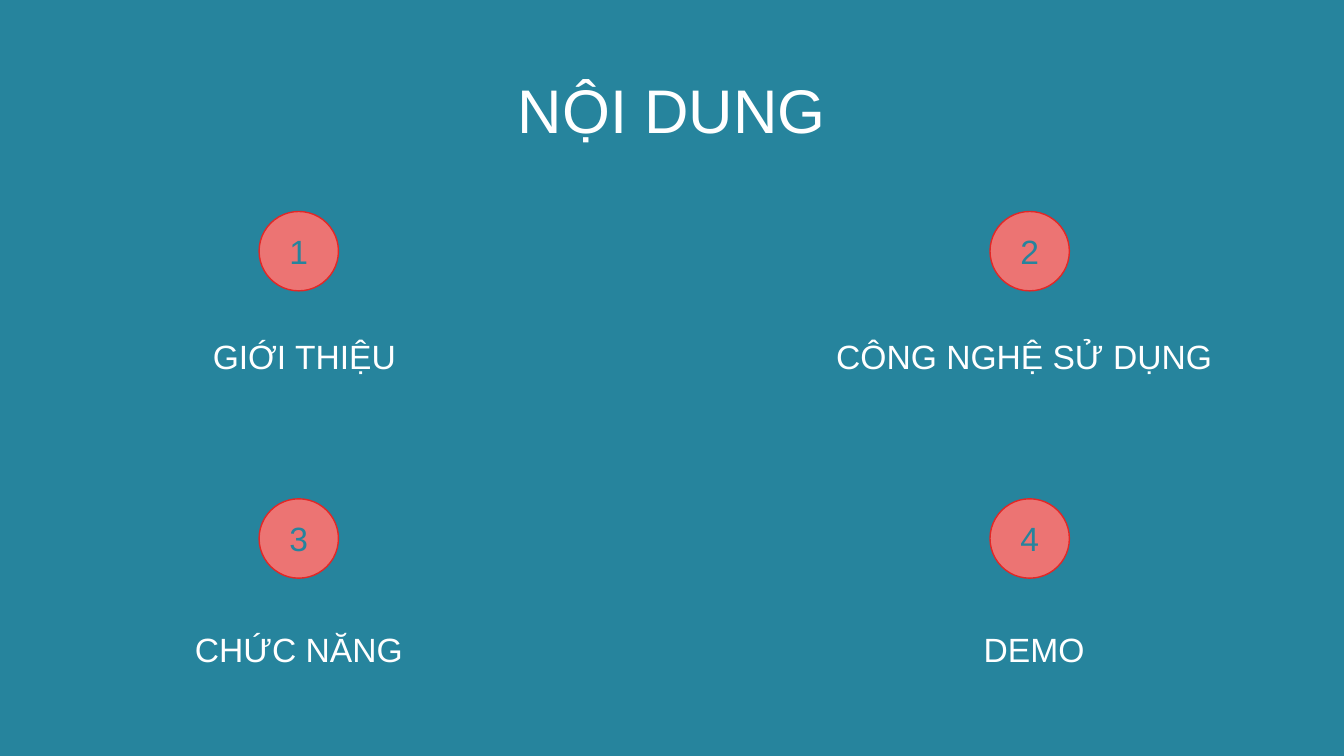
from dataclasses import dataclass

from pptx import Presentation
from pptx.dml.color import RGBColor
from pptx.enum.shapes import MSO_SHAPE as Shape
from pptx.enum.text import MSO_ANCHOR as Anchor, MSO_AUTO_SIZE as AutoSize, PP_ALIGN as Align
from pptx.util import Cm, Pt


@dataclass(frozen=True)
class Theme:
    background: RGBColor = RGBColor.from_string("26849D")
    text: RGBColor = RGBColor.from_string("FFFFFF")
    badge: RGBColor = RGBColor.from_string("EC7473")
    badge_line: RGBColor = RGBColor.from_string("E22726")
    font: str = "Arial"
    title_size: int = 44
    item_size: int = 24


THEME = Theme()
BADGE_SIZE = 2.0
LABEL_HEIGHT = 1.27

# Centres of the columns; badge top and label drop of each row, in cm
COLUMNS = (7.53, 25.95)
ROWS = ((5.33, 3.0), (12.57, 3.15))

# Topic, label width and shift of the label from its column's centre, in cm
TOPICS = (
    ("GIỚI THIỆU", 6.91, 0.14),
    ("CÔNG NGHỆ SỬ DỤNG", 11.33, -0.14),
    ("CHỨC NĂNG", 10.77, 0),
    ("DEMO", 5.44, 0.11),
)


def write(box, text, size, color, anchor=Anchor.MIDDLE):
    frame = box.text_frame
    frame.word_wrap = True
    frame.vertical_anchor = anchor
    para = frame.paragraphs[0]
    para.text = text
    para.alignment = Align.CENTER
    para.font.name = THEME.font
    para.font.size = Pt(size)
    para.font.color.rgb = color
    return para


def add_title(page, text, left, top, width, height):
    box = page.shapes.add_textbox(Cm(left), Cm(top), Cm(width), Cm(height))
    write(box, text, THEME.title_size, THEME.text).line_spacing = 0.9


def add_badge(page, number, left, top, size):
    badge = page.shapes.add_shape(Shape.OVAL, Cm(left), Cm(top), Cm(size), Cm(size))
    badge.shadow.inherit = False
    badge.fill.solid()
    badge.fill.fore_color.rgb = THEME.badge
    badge.line.color.rgb = THEME.badge_line
    badge.line.width = Pt(1)
    write(badge, str(number), THEME.item_size, THEME.background)


def add_label(page, text, left, top, width, height):
    label = page.shapes.add_textbox(Cm(left), Cm(top), Cm(width), Cm(height))
    write(label, text, THEME.item_size, THEME.text, Anchor.TOP)
    label.text_frame.auto_size = AutoSize.SHAPE_TO_FIT_TEXT


def add_topic(page, number, topic, center, top, drop):
    text, width, shift = topic
    add_badge(page, number, center - BADGE_SIZE / 2, top, BADGE_SIZE)
    add_label(page, text, center + shift - width / 2, top + drop, width, LABEL_HEIGHT)


def build_contents(deck):
    page = deck.slides.add_slide(deck.slide_layouts[6])
    page.background.fill.solid()
    page.background.fill.fore_color.rgb = THEME.background

    # Heading
    add_title(page, "NỘI DUNG", 2.33, 1.01, 29.21, 3.68)

    # Numbered topics, row by row
    for index, topic in enumerate(TOPICS):
        row, column = divmod(index, len(COLUMNS))
        top, drop = ROWS[row]
        add_topic(page, index + 1, topic, COLUMNS[column], top, drop)


def main():
    deck = Presentation()
    deck.slide_width, deck.slide_height = Cm(33.87), Cm(19.05)
    build_contents(deck)
    deck.save("out.pptx")


if __name__ == "__main__":
    main()
